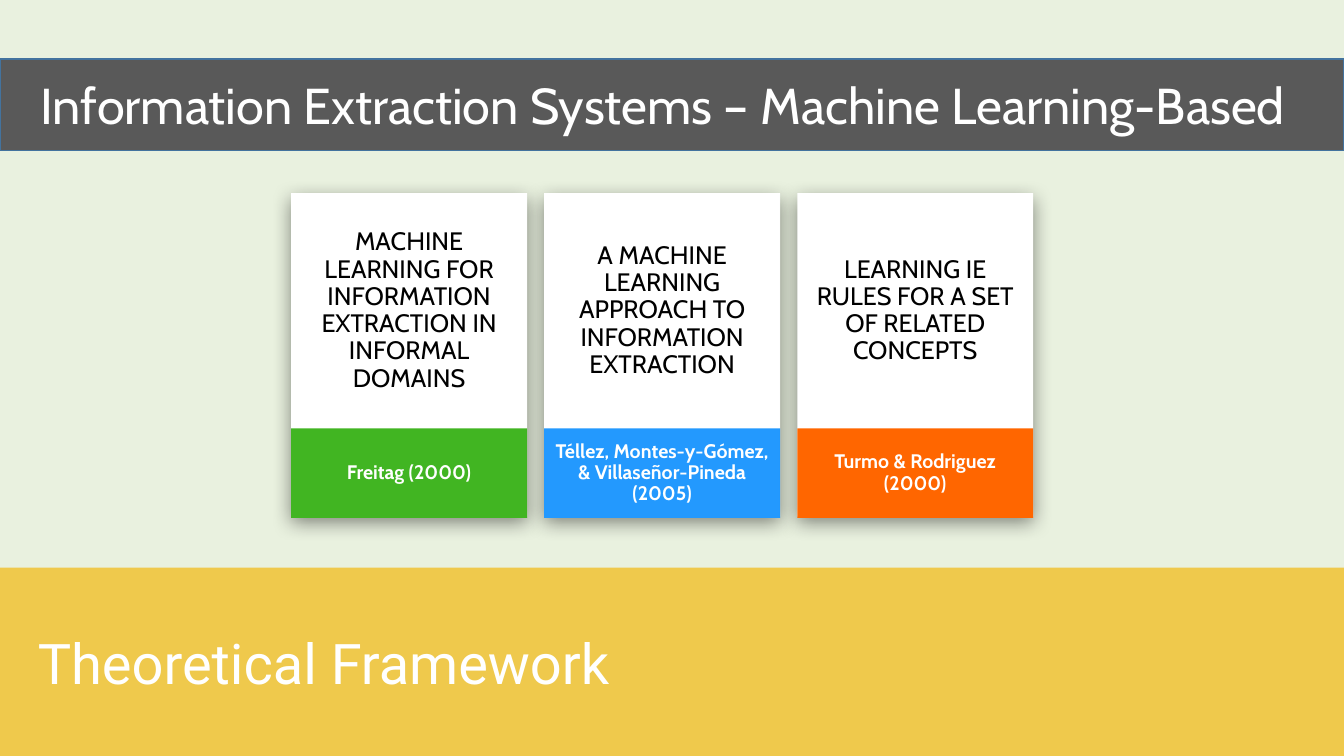
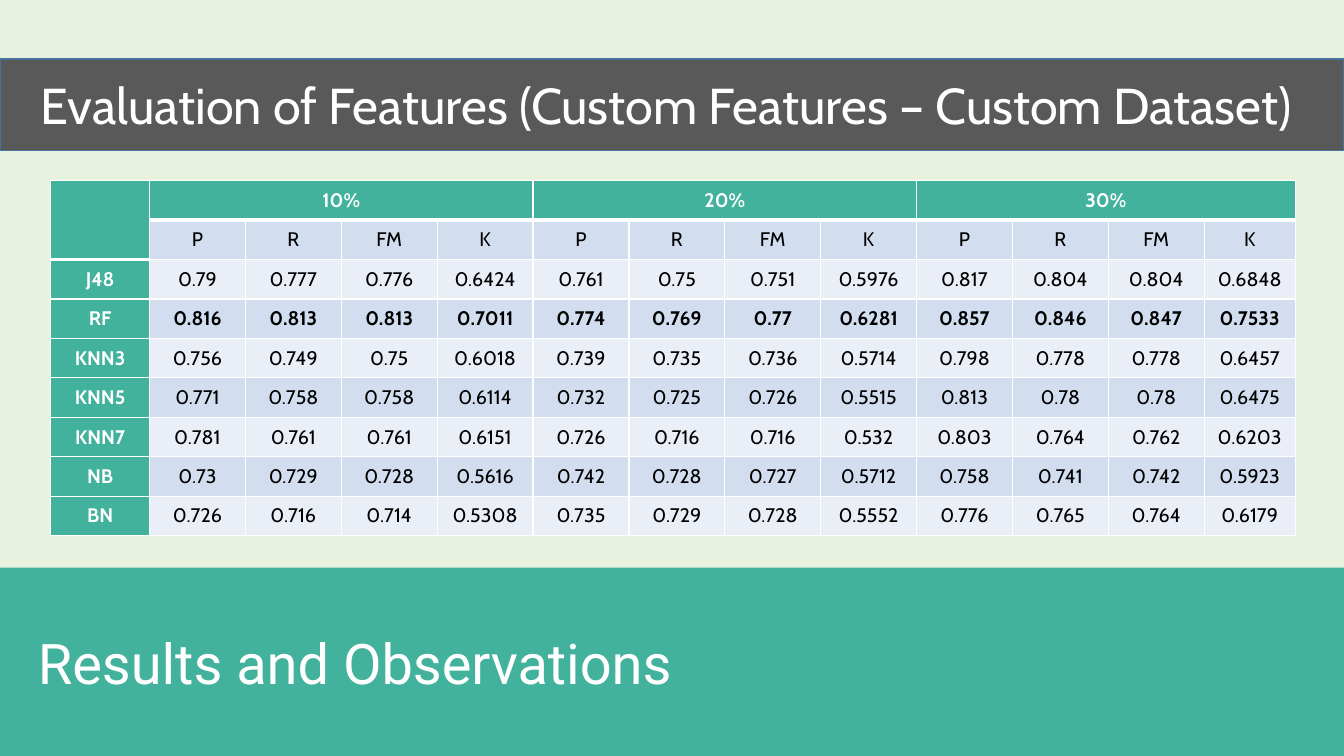
from dataclasses import dataclass

from lxml.etree import SubElement as sub
from pptx import Presentation
from pptx.dml.color import RGBColor as RGB
from pptx.enum.shapes import MSO_SHAPE as SHAPE
from pptx.enum.text import MSO_ANCHOR as ANCHOR, PP_ALIGN as ALIGN
from pptx.oxml.ns import qn
from pptx.util import Pt


@dataclass(frozen=True)
class Style:
    font: str
    size: int
    color: str
    bold: bool = False


@dataclass(frozen=True)
class Theme:
    page: str = "E9F1DF"
    band: str = "595959"
    edge: str = "43739E"
    white: str = "FFFFFF"
    black: str = "000000"
    gold: str = "EFC94C"
    teal: str = "42B29D"
    green: str = "41B522"
    blue: str = "2399FE"
    orange: str = "FF6600"
    dark: str = "D2DEEF"
    light: str = "EAEFF7"
    title: Style = Style("Cabin", 36, "FFFFFF")
    foot: Style = Style("Roboto", 40, "FFFFFF")
    paper: Style = Style("Cabin", 18, "000000")
    label: Style = Style("Cabin", 14, "FFFFFF", True)
    value: Style = Style("Cabin", 14, "000000")
    best: Style = Style("Cabin", 14, "000000", True)


T = Theme()
WIDE, HIGH = 960, 540

CARDS = [
    ("MACHINE LEARNING FOR INFORMATION EXTRACTION IN INFORMAL DOMAINS",
     "Freitag (2000)", T.green),
    ("A MACHINE LEARNING APPROACH TO INFORMATION EXTRACTION",
     "Téllez, Montes-y-Gómez, & Villaseñor-Pineda (2005)", T.blue),
    ("LEARNING IE RULES FOR A SET OF RELATED CONCEPTS",
     "Turmo & Rodriguez (2000)", T.orange),
]

SHARES = ["10%", "20%", "30%"]
SCORES = ["P", "R", "FM", "K"]
BEST = "RF"
RESULTS = """
J48 0.79 0.777 0.776 0.6424 0.761 0.75 0.751 0.5976 0.817 0.804 0.804 0.6848
RF 0.816 0.813 0.813 0.7011 0.774 0.769 0.77 0.6281 0.857 0.846 0.847 0.7533
KNN3 0.756 0.749 0.75 0.6018 0.739 0.735 0.736 0.5714 0.798 0.778 0.778 0.6457
KNN5 0.771 0.758 0.758 0.6114 0.732 0.725 0.726 0.5515 0.813 0.78 0.78 0.6475
KNN7 0.781 0.761 0.761 0.6151 0.726 0.716 0.716 0.532 0.803 0.764 0.762 0.6203
NB 0.73 0.729 0.728 0.5616 0.742 0.728 0.727 0.5712 0.758 0.741 0.742 0.5923
BN 0.726 0.716 0.714 0.5308 0.735 0.729 0.728 0.5552 0.776 0.765 0.764 0.6179
"""


# Text and shapes
def write(frame, text, style, align=ALIGN.CENTER, space=None):
    frame.word_wrap = True
    frame.vertical_anchor = ANCHOR.MIDDLE
    para = frame.paragraphs[0]
    para.text = text
    para.alignment = align
    para.line_spacing = space
    font = para.font
    font.name, font.size, font.bold = style.font, Pt(style.size), style.bold
    font.color.rgb = RGB.from_string(style.color)


def block(shapes, left, top, width, height, fill, edge=None):
    rect = shapes.add_shape(SHAPE.RECTANGLE, Pt(left), Pt(top), Pt(width), Pt(height))
    rect.shadow.inherit = False
    rect.fill.solid()
    rect.fill.fore_color.rgb = RGB.from_string(fill)
    if edge:
        rect.line.color.rgb = RGB.from_string(edge)
        rect.line.width = Pt(1)
    else:
        rect.line.fill.background()
    return rect


def shade(rect):
    effects = rect._element.spPr.find(qn("a:effectLst"))
    drop = sub(effects, qn("a:outerShdw"), blurRad=str(Pt(14)), dist=str(Pt(4)),
               dir="5400000", algn="ctr", rotWithShape="0")
    color = sub(drop, qn("a:srgbClr"), val=T.black)
    sub(color, qn("a:alpha"), val="45000")


# Slide frame: footer band and title band
def band(slide, top, height, fill, text, style, inset, edge=None):
    rect = block(slide.shapes, 0, top, WIDE, height, fill, edge)
    rect.text_frame.margin_left = Pt(inset)
    write(rect.text_frame, text, style, ALIGN.LEFT)


def add_page(deck, title, part, color):
    slide = deck.slides.add_slide(deck.slide_layouts[6])
    band(slide, 405.5, HIGH - 405.5, color, part, T.foot, 27)
    band(slide, 42, 65.5, T.band, title, T.title, 29, T.edge)
    return slide


# Paper card: white sheet, coloured label, heading
def add_card(slide, left, paper, source, color):
    top, width, split = 138, 168.5, 306
    shapes = slide.shapes.add_group_shape().shapes
    shade(block(shapes, left, top, width, 231, T.white))
    label = block(shapes, left, split, width, 64, color)
    write(label.text_frame, source, T.label, space=0.9)
    head = shapes.add_textbox(Pt(left), Pt(top), Pt(width), Pt(split - top))
    write(head.text_frame, paper, T.paper, space=0.9)


# Table parts
def rule(cell, side, width):
    line = sub(cell._tc.get_or_add_tcPr(), qn("a:ln" + side), w=str(Pt(width)))
    fill = sub(line, qn("a:solidFill"))
    sub(fill, qn("a:srgbClr"), val=T.white)


def heavy(row, col):
    """Tell whether the line below this header cell is thick."""
    return row == 0 or (row == 1 and col == 0)


def fill_cell(grid, row, col, text, style):
    cell = grid.cell(row, col)
    rule(cell, "L", 1)
    rule(cell, "R", 1)
    rule(cell, "T", 3 if row and heavy(row - 1, col) else 1)
    rule(cell, "B", 3 if heavy(row, col) else 1)
    cell.fill.solid()
    back = T.teal if row == 0 or col == 0 else T.dark if row % 2 else T.light
    cell.fill.fore_color.rgb = RGB.from_string(back)
    cell.margin_left = cell.margin_right = Pt(5)
    cell.margin_top = cell.margin_bottom = 0
    write(cell.text_frame, text, style)
    cell.vertical_anchor = ANCHOR.MIDDLE


def add_grid(slide):
    span = len(SCORES)
    heads = [""]
    for share in SHARES:
        heads += [share] + [""] * (span - 1)
    rows = [heads, [""] + SCORES * len(SHARES)]
    rows += [line.split() for line in RESULTS.strip().splitlines()]
    widths = [70.5] + [68.5] * (len(heads) - 2) + [65]
    tall = 28.2
    frame = slide.shapes.add_table(len(rows), len(heads), Pt(36.3), Pt(129),
                                   Pt(sum(widths)), Pt(tall * len(rows)))
    grid = frame.table
    grid.first_row = grid.horz_banding = False
    for col, width in zip(grid.columns, widths):
        col.width = Pt(width)
    for row, texts in enumerate(rows):
        grid.rows[row].height = Pt(tall)
        for col, text in enumerate(texts):
            head = row == 0 or col == 0
            style = T.label if head else T.best if texts[0] == BEST else T.value
            fill_cell(grid, row, col, text, style)
    grid.cell(0, 0).merge(grid.cell(1, 0))
    for col in range(1, len(heads), span):
        grid.cell(0, col).merge(grid.cell(0, col + span - 1))


def main():
    deck = Presentation()
    deck.slide_width, deck.slide_height = Pt(WIDE), Pt(HIGH)
    back = deck.slide_master.background.fill
    back.solid()
    back.fore_color.rgb = RGB.from_string(T.page)

    # Related papers
    slide = add_page(deck, "Information Extraction Systems – Machine Learning-Based",
                     "Theoretical Framework", T.gold)
    for num, card in enumerate(CARDS):
        add_card(slide, 208 + 180.75 * num, *card)

    # Feature scores
    slide = add_page(deck, "Evaluation of Features (Custom Features – Custom Dataset)",
                     "Results and Observations", T.teal)
    add_grid(slide)
    deck.save("out.pptx")


if __name__ == "__main__":
    main()
